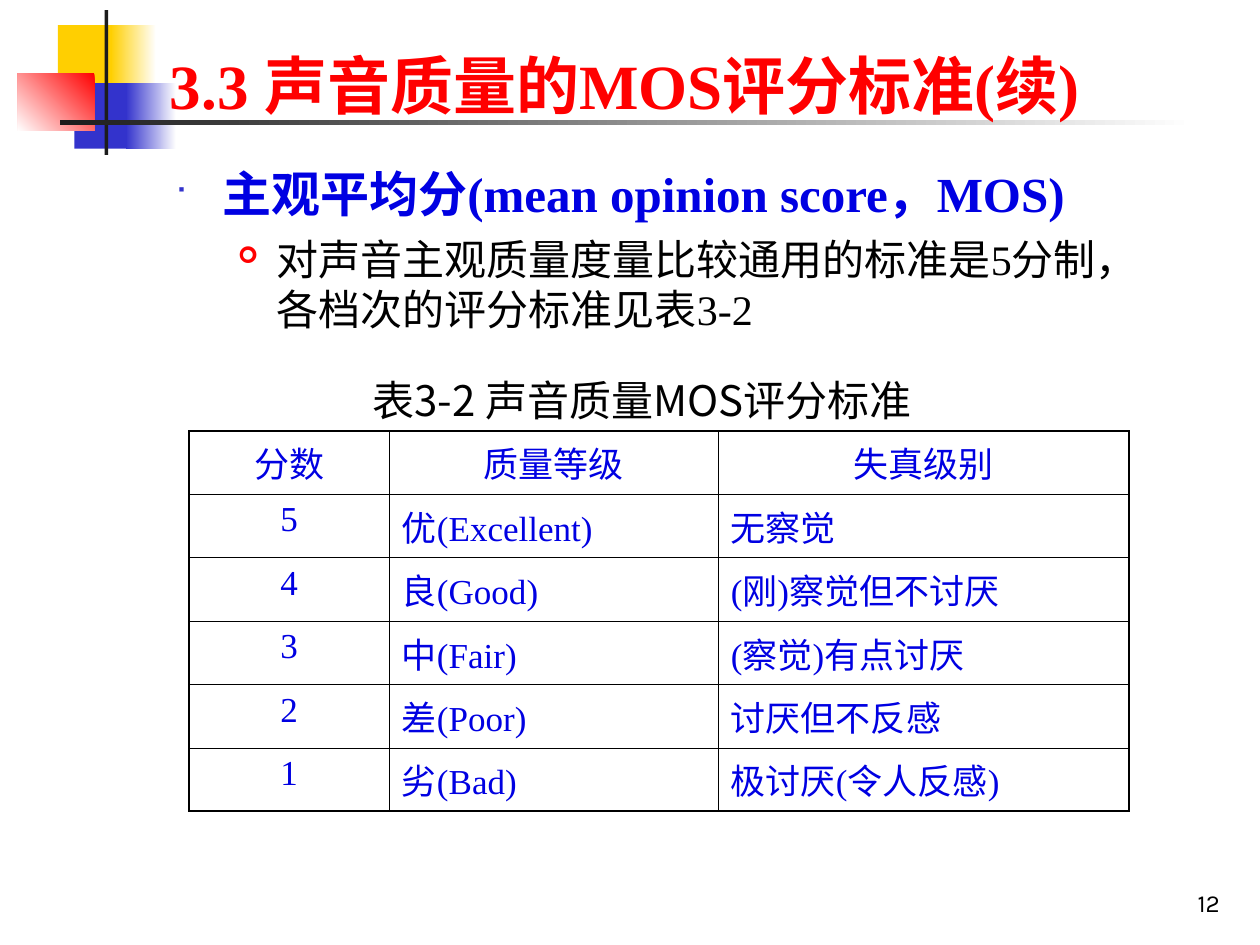
"""Build the slide on the MOS rating scale for sound quality."""
from lxml import etree
from pptx import Presentation
from pptx.dml.color import RGBColor
from pptx.enum.shapes import MSO_SHAPE
from pptx.enum.text import MSO_ANCHOR, PP_ALIGN
from pptx.oxml.ns import qn
from pptx.util import Inches, Pt

RECT = MSO_SHAPE.RECTANGLE
TOP, BOTTOM = MSO_ANCHOR.TOP, MSO_ANCHOR.BOTTOM
LEFT, CENTER, RIGHT = PP_ALIGN.LEFT, PP_ALIGN.CENTER, PP_ALIGN.RIGHT
SERIF, CJK, SANS = "Times New Roman", "Noto Sans CJK SC", "Karla"
COLORS = {
    "white": "FFFFFF", "black": "000000", "ink": "1C1C1C", "yellow": "FFCF01",
    "indigo": "3333CC", "red": "FF0000", "blue": "0000E2",
}
DECORATION = [
    ((0.46, 0.2, 0.48, 0.52), ["yellow"], 0),
    ((0.88, 0.2, 0.36, 0.52), ["white", "yellow"], 180),
    ((0.59, 0.66, 0.46, 0.52), ["indigo"], 0),
    ((1, 0.66, 0.4, 0.52), ["white", "indigo"], 180),
    ((0.14, 0.58, 0.61, 0.46), ["red", "white"], 225),
    ((0.83, 0.08, 0.03, 1.15), ["ink"], 0),
    ((0.48, 0.95, 9, 0.04), ["white", "ink"], 180),
]
COLUMNS = [1.59, 2.61, 3.26]
TABLE_HEIGHT = 3.02
RATINGS = [
    ["分数", "质量等级", "失真级别"],
    ["5", "优(Excellent)", "无察觉"],
    ["4", "良(Good)", "(刚)察觉但不讨厌"],
    ["3", "中(Fair)", "(察觉)有点讨厌"],
    ["2", "差(Poor)", "讨厌但不反感"],
    ["1", "劣(Bad)", "极讨厌(令人反感)"],
]


def rgb(name):
    """Return the named colour."""
    return RGBColor.from_string(COLORS[name])


def add_block(s, box, colors, angle):
    """Add a rectangle with a plain or two-colour gradient fill."""
    sp = s.shapes.add_shape(RECT, *map(Inches, box))
    sp.shadow.inherit = False
    sp.line.fill.background()
    if len(colors) == 1:
        sp.fill.solid()
        sp.fill.fore_color.rgb = rgb(colors[0])
        return
    sp.fill.gradient()
    sp.fill.gradient_angle = angle
    for stop, color in zip(sp.fill.gradient_stops, colors):
        stop.color.rgb = rgb(color)


def write(p, text, size, color, font=SERIF, bold=False, **layout):
    """Fill a paragraph with one formatted run."""
    for name, value in layout.items():
        setattr(p, name, value)
    r = p.add_run()
    r.text = text
    for name, value in {"size": Pt(size), "name": font, "bold": bold}.items():
        setattr(r.font, name, value)
    r.font.color.rgb = rgb(color)
    etree.SubElement(r.font._element, qn("a:ea"), typeface=CJK)


def add_text(s, box, anchor=TOP, wrap=True):
    """Add an empty text box and return its text frame."""
    tf = s.shapes.add_textbox(*map(Inches, box)).text_frame
    tf.word_wrap, tf.vertical_anchor = wrap, anchor
    return tf


def set_bullet(p, char, color, percent, margin, indent):
    """Give a paragraph a coloured bullet and a hanging indent."""
    pPr = p._p.get_or_add_pPr()
    pPr.set("marL", str(Inches(margin)))
    pPr.set("indent", str(Inches(indent)))
    pPr.set("hangingPunct", "0")
    clr = etree.SubElement(pPr, qn("a:buClr"))
    etree.SubElement(clr, qn("a:srgbClr"), val=COLORS[color])
    etree.SubElement(pPr, qn("a:buSzPct"), val=str(percent * 1000))
    etree.SubElement(pPr, qn("a:buFont"), typeface="Wingdings")
    etree.SubElement(pPr, qn("a:buChar"), char=char)


def set_borders(cell, outer):
    """Draw the four cell borders, thicker on the outer edges."""
    tcPr = cell._tc.get_or_add_tcPr()
    for side in "LRTB":
        width = Pt(1.08 if side in outer else 0.45)
        ln = etree.SubElement(tcPr, qn(f"a:ln{side}"), w=str(width))
        fill = etree.SubElement(ln, qn("a:solidFill"))
        etree.SubElement(fill, qn("a:srgbClr"), val=COLORS["black"])


def add_ratings(s, left, top):
    """Add the table of scores, quality grades and distortion levels."""
    last_row, last_col = len(RATINGS) - 1, len(COLUMNS) - 1
    box = left, top, sum(COLUMNS), TABLE_HEIGHT
    table = s.shapes.add_table(len(RATINGS), len(COLUMNS), *map(Inches, box)).table
    table.first_row = table.horz_banding = False
    for column, width in zip(table.columns, COLUMNS):
        column.width = Inches(width)
    for i, row in enumerate(RATINGS):
        for j, text in enumerate(row):
            cell = table.cell(i, j)
            edges = {"L": j == 0, "R": j == last_col, "T": i == 0, "B": i == last_row}
            set_borders(cell, [side for side, outer in edges.items() if outer])
            cell.fill.background()
            write(cell.text_frame.paragraphs[0], text, 20, "blue", space_before=Pt(5),
                  alignment=CENTER if i == 0 or j == 0 else LEFT)


def add_body(s):
    """Add the definition with its bulleted explanation."""
    tf = add_text(s, (1.29, 1.25, 7.96, 1.75))
    p = tf.paragraphs[0]
    write(p, "主观平均分(mean opinion score，MOS)", 28, "blue", bold=True,
          space_before=Pt(7))
    set_bullet(p, "■", "indigo", 60, 0.38, -0.38)
    p = tf.add_paragraph()
    write(p, "对声音主观质量度量比较通用的标准是5分制，各档次的评分标准见表3-2",
          24, "black", space_before=Pt(6), level=1)
    set_bullet(p, "➢", "red", 55, 0.81, -0.31)


def main():
    """Build and save the presentation."""
    prs = Presentation()
    prs.slide_width, prs.slide_height = Inches(10), Inches(7.5)
    s = prs.slides.add_slide(prs.slide_layouts[6])
    for box, colors, angle in DECORATION:
        add_block(s, box, colors, angle)
    title = add_text(s, (1.25, 0.17, 8.52, 0.85), BOTTOM)
    write(title.paragraphs[0], "3.3 声音质量的MOS评分标准(续)", 36, "red", bold=True)
    add_body(s)
    add_ratings(s, 1.5, 3.42)
    caption = add_text(s, (2.38, 2.92, 5.43, 0.5), wrap=False)
    write(caption.paragraphs[0], "表3-2 声音质量MOS评分标准", 24, "black", CJK,
          alignment=CENTER, space_before=Pt(6))
    number = add_text(s, (7.7, 6.83, 2.08, 0.5), BOTTOM)
    write(number.paragraphs[0], "12", 14, "black", SANS, alignment=RIGHT)
    prs.save("out.pptx")


if __name__ == "__main__":
    main()
